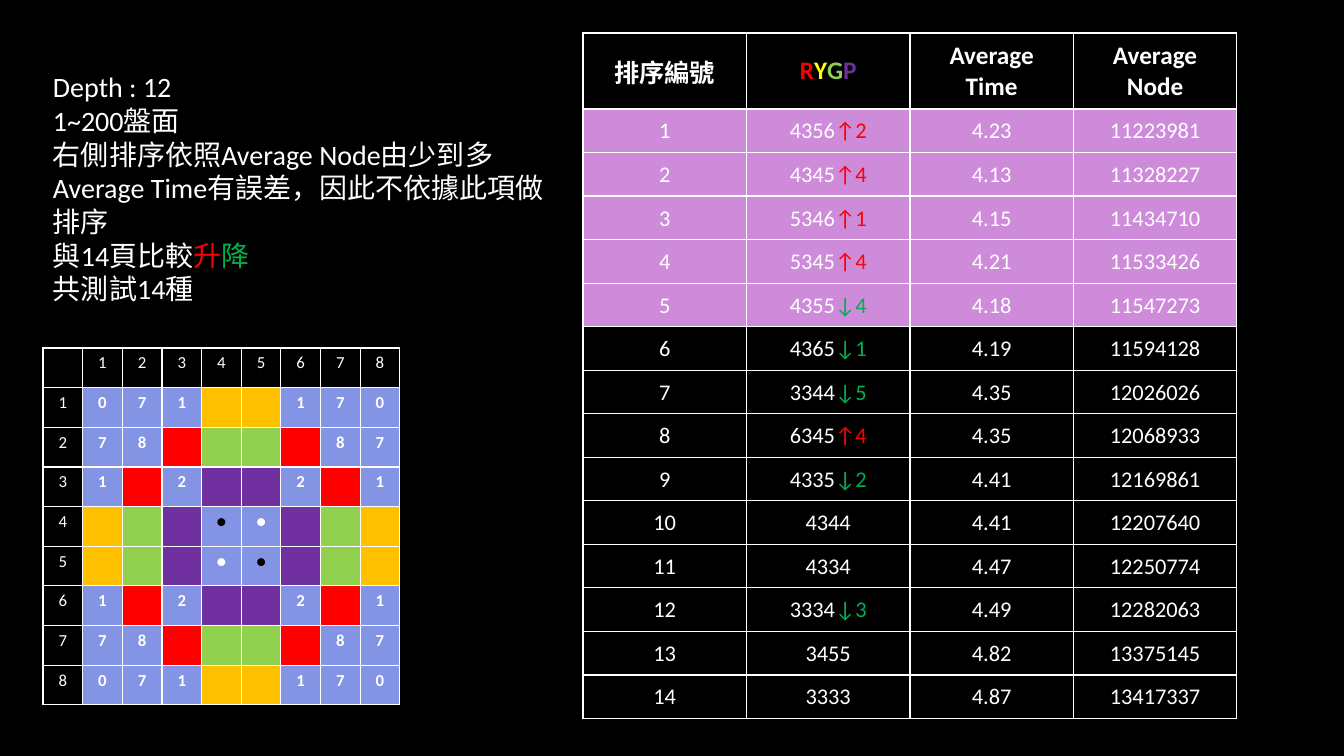
import pptx
import pptx.dml.color
import pptx.enum.text
import pptx.oxml
import pptx.oxml.ns
import pptx.util

RGBColor = pptx.dml.color.RGBColor
ALIGN = pptx.enum.text.PP_ALIGN
ANCHOR = pptx.enum.text.MSO_ANCHOR
BLACK = RGBColor(0x00, 0x00, 0x00)
WHITE = RGBColor(0xFF, 0xFF, 0xFF)
RED = RGBColor(0xFF, 0x00, 0x00)
YELLOW = RGBColor(0xFF, 0xFF, 0x00)
ORANGE = RGBColor(0xFF, 0xC0, 0x00)
LIME = RGBColor(0x92, 0xD0, 0x50)
GREEN = RGBColor(0x00, 0xB0, 0x50)
PURPLE = RGBColor(0x70, 0x30, 0xA0)
BLUE = RGBColor(0x83, 0x94, 0xE4)
PINK = RGBColor(0xCD, 0x8B, 0xDA)

SCALE = 914400 / 100.8
FONT = "Calibri"

# Upper left quarter of the board; letters stand for coloured squares
QUARTER = ["071O", "78RG", "1R2P", "OGP●"]
SQUARE_COLORS = {"O": ORANGE, "R": RED, "G": LIME, "P": PURPLE}

NOTES = [
    [("Depth : 12", WHITE)],
    [("1~200盤面", WHITE)],
    [("右側排序依照Average Node由少到多", WHITE)],
    [("Average Time有誤差，因此不依據此項做排序", WHITE)],
    [("與14頁比較", WHITE), ("升", RED), ("降", GREEN)],
    [("共測試14種", WHITE)],
]

HEADERS = [
    [[("排序編號", WHITE)]],
    [[("R", RED), ("Y", YELLOW), ("G", LIME), ("P", PURPLE)]],
    [[("Average", WHITE)], [("Time", WHITE)]],
    [[("Average", WHITE)], [("Node", WHITE)]],
]

# RYGP weights, change of rank, average time, average node
RESULTS = [
    ("4356", "↑2", "4.23", "11223981"),
    ("4345", "↑4", "4.13", "11328227"),
    ("5346", "↑1", "4.15", "11434710"),
    ("5345", "↑4", "4.21", "11533426"),
    ("4355", "↓4", "4.18", "11547273"),
    ("4365", "↓1", "4.19", "11594128"),
    ("3344", "↓5", "4.35", "12026026"),
    ("6345", "↑4", "4.35", "12068933"),
    ("4335", "↓2", "4.41", "12169861"),
    ("4344", "", "4.41", "12207640"),
    ("4334", "", "4.47", "12250774"),
    ("3334", "↓3", "4.49", "12282063"),
    ("3455", "", "4.82", "13375145"),
    ("3333", "", "4.87", "13417337"),
]
TOP_RANKS = 5


def px(length):
    return pptx.util.Emu(round(length * SCALE))


def write(text_frame, lines, size, bold=False, align=ALIGN.LEFT):
    """Fill a text frame with lines, each a list of (text, colour) runs."""
    for index, runs in enumerate(lines):
        paragraph = text_frame.paragraphs[0] if index == 0 else text_frame.add_paragraph()
        paragraph.alignment = align
        paragraph.font.name = FONT
        paragraph.font.size = pptx.util.Pt(size)
        paragraph.font.bold = bold
        for text, color in runs:
            run = paragraph.add_run()
            run.text = text
            run.font.color.rgb = color


def set_borders(cell, bottom=1):
    properties = cell._tc.get_or_add_tcPr()
    widths = {"lnL": 1, "lnR": 1, "lnT": 1, "lnB": bottom}
    for position, (side, width) in enumerate(widths.items()):
        line = pptx.oxml.parse_xml(
            f'<a:{side} {pptx.oxml.ns.nsdecls("a")} w="{width * 12700}">'
            f'<a:solidFill><a:srgbClr val="{WHITE}"/></a:solidFill></a:{side}>')
        properties.insert(position, line)


def fill_cell(cell, lines, size, fill, bold=False, bottom=1):
    write(cell.text_frame, lines, size, bold, ALIGN.CENTER)
    if fill is None:
        cell.fill.background()
    else:
        cell.fill.solid()
        cell.fill.fore_color.rgb = fill
    set_borders(cell, bottom)


def add_plain_table(slide, rows, columns, left, top, width, height):
    table = slide.shapes.add_table(
        rows, columns, px(left), px(top), px(width), px(height)).table
    table.first_row = False
    table.horz_banding = False
    return table


def add_notes(slide, left, top, width, height):
    text_box = slide.shapes.add_textbox(px(left), px(top), px(width), px(height))
    text_frame = text_box.text_frame
    text_frame.word_wrap = True
    text_frame.auto_size = pptx.enum.text.MSO_AUTO_SIZE.SHAPE_TO_FIT_TEXT
    write(text_frame, NOTES, 20)


def add_board(slide, left, top, side):
    table = add_plain_table(slide, 9, 9, left, top, side, side)
    for row in range(9):
        for column in range(9):
            cell = table.cell(row, column)
            cell.margin_bottom = 0
            # Row and column numbers
            if row == 0 or column == 0:
                label = str(row or column or "")
                fill_cell(cell, [[(label, WHITE)] if label else []], 12, None)
                continue
            # Squares, mirrored in both directions
            mark = QUARTER[min(row, 9 - row) - 1][min(column, 9 - column) - 1]
            if mark in SQUARE_COLORS:
                fill_cell(cell, [[]], 12, SQUARE_COLORS[mark])
            else:
                color = BLACK if mark == "●" and row == column else WHITE
                fill_cell(cell, [[(mark, color)]], 12, BLUE, bold=True)


def add_ranking(slide, left, top, width, height, header_height):
    table = add_plain_table(slide, len(RESULTS) + 1, len(HEADERS), left, top, width, height)
    for index, row in enumerate(table.rows):
        row.height = px((height - header_height) / len(RESULTS) if index else header_height)

    # Header
    for column, lines in enumerate(HEADERS):
        cell = table.cell(0, column)
        cell.vertical_anchor = ANCHOR.MIDDLE
        fill_cell(cell, lines, 18, None, bold=True, bottom=2)

    # Ranked results
    for rank, (weights, change, time, node) in enumerate(RESULTS, start=1):
        weight_runs = [(weights, WHITE)]
        if change:
            weight_runs.append((change, RED if change[0] == "↑" else GREEN))
        values = [[(str(rank), WHITE)], weight_runs, [(time, WHITE)], [(node, WHITE)]]
        for column, runs in enumerate(values):
            cell = table.cell(rank, column)
            cell.vertical_anchor = ANCHOR.MIDDLE
            cell.margin_left = cell.margin_right = cell.margin_top = px(1)
            cell.margin_bottom = 0
            fill_cell(cell, [runs], 16, PINK if rank <= TOP_RANKS else None)


presentation = pptx.Presentation()
presentation.slide_width = px(1344)
presentation.slide_height = px(756)
slide = presentation.slides.add_slide(presentation.slide_layouts[6])
slide.background.fill.solid()
slide.background.fill.fore_color.rgb = BLACK

add_board(slide, left=43, top=348, side=357)
add_notes(slide, left=43, top=65, width=528, height=248)
add_ranking(slide, left=583, top=33, width=654, height=686, header_height=76)

presentation.save("out.pptx")
